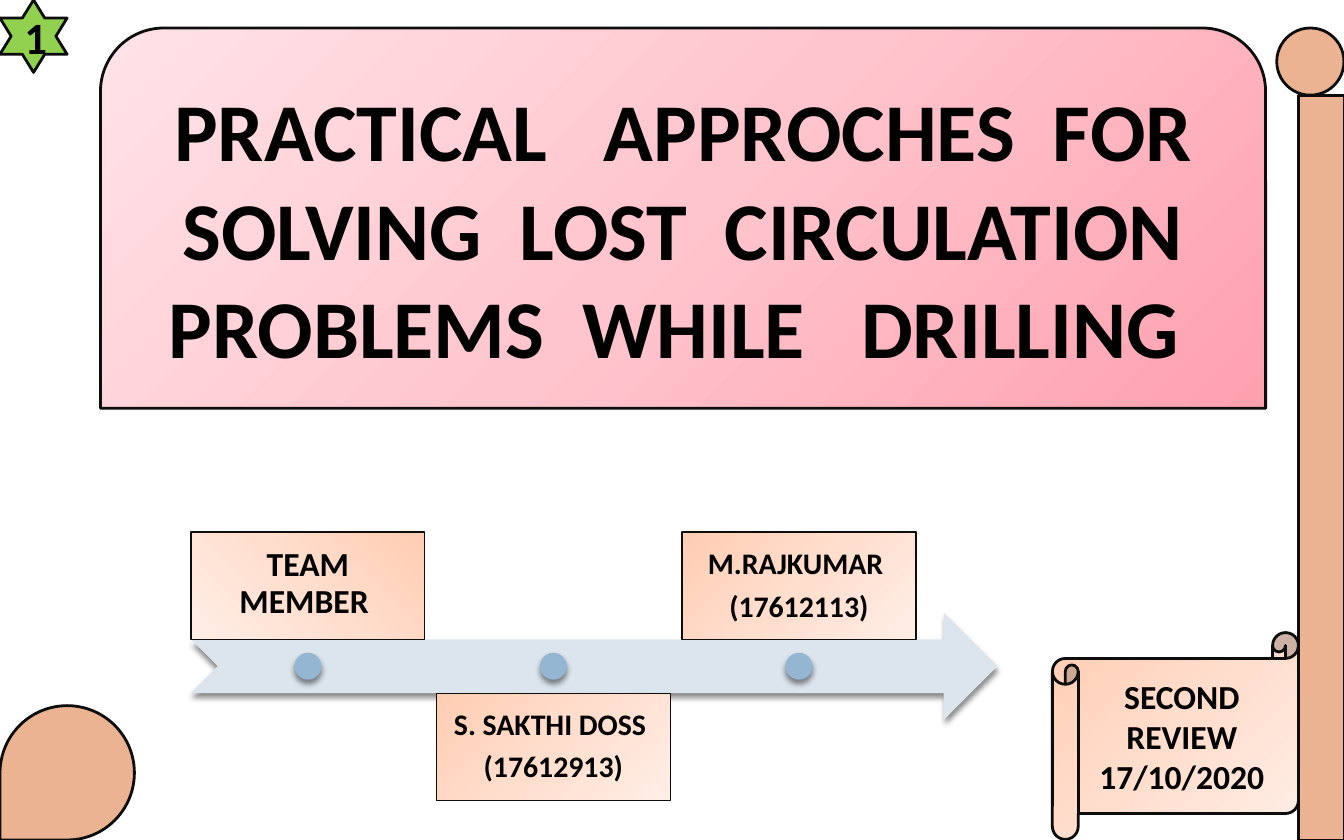
from dataclasses import dataclass

from lxml import etree
from pptx import Presentation
from pptx.dml.color import RGBColor
from pptx.enum.shapes import MSO_SHAPE
from pptx.enum.text import MSO_ANCHOR, MSO_AUTO_SIZE, PP_ALIGN
from pptx.oxml.ns import qn
from pptx.util import Cm, Pt

STAR, TEAR = MSO_SHAPE.STAR_6_POINT, MSO_SHAPE.TEAR
BAR, KNOB = MSO_SHAPE.FLOWCHART_PROCESS, MSO_SHAPE.FLOWCHART_CONNECTOR
PANEL, ARROW = MSO_SHAPE.ROUND_2_SAME_RECTANGLE, MSO_SHAPE.NOTCHED_RIGHT_ARROW
RECT, OVAL, SCROLL = MSO_SHAPE.RECTANGLE, MSO_SHAPE.OVAL, MSO_SHAPE.HORIZONTAL_SCROLL
TOP, MIDDLE, BOTTOM = MSO_ANCHOR.TOP, MSO_ANCHOR.MIDDLE, MSO_ANCHOR.BOTTOM
CENTER = PP_ALIGN.CENTER
NO_FIT = MSO_AUTO_SIZE.NONE


@dataclass(frozen=True)
class Theme:
    font: str = "Calibri"
    ink: str = "000000"
    line: str = "0D0D0D"
    green: str = "92D050"
    tan: str = "EBB391"
    arrow: str = "DCE5EE"
    dot: str = "94B6D2"
    pink: tuple = ("FFA0AF", "FFC5CE", "FFE3E7")
    peach: tuple = ("FFCDB3", "FFDECE", "FFEEE6")
    title_pt: int = 44
    number_pt: int = 24
    label_pt: int = 18
    member_pt: int = 16


theme = Theme()

prs = Presentation()
prs.slide_width, prs.slide_height = Cm(25.4), Cm(15.88)
slide = prs.slides.add_slide(prs.slide_layouts[5])


def add_shape(kind, box, fill, line_pt=1.5, focus=None, shadow=False):
    sp = slide.shapes.add_shape(kind, *[Cm(v) for v in box])
    sp.shadow.inherit = False
    if isinstance(fill, str):
        sp.fill.solid()
        sp.fill.fore_color.rgb = RGBColor.from_string(fill)
    else:
        sp.fill.gradient()
        grad = sp._element.spPr.find(qn("a:gradFill"))
        for child in list(grad):
            grad.remove(child)
        stops = etree.SubElement(grad, qn("a:gsLst"))
        for i, color in enumerate(fill):
            stop = etree.SubElement(stops, qn("a:gs"), pos=str(i * 50000))
            etree.SubElement(stop, qn("a:srgbClr"), val=color)
        if focus:
            circle = etree.SubElement(grad, qn("a:path"), path="circle")
            edges = {k: str(v * 1000) for k, v in zip("ltrb", focus)}
            etree.SubElement(circle, qn("a:fillToRect"), **edges)
        else:
            etree.SubElement(grad, qn("a:lin"), ang="13500000", scaled="0")
    if line_pt:
        sp.line.color.rgb = RGBColor.from_string(theme.line)
        sp.line.width = Pt(line_pt)
    else:
        sp.line.fill.background()
    if shadow:
        effects = sp._element.spPr.find(qn("a:effectLst"))
        outer = etree.SubElement(effects, qn("a:outerShdw"), blurRad="38100",
                                 dist="30000", dir="5400000", rotWithShape="0")
        color = etree.SubElement(outer, qn("a:srgbClr"), val="000000")
        etree.SubElement(color, qn("a:alpha"), val="45000")
    return sp


def add_run(p, text, size):
    p.alignment = CENTER
    r = p.add_run()
    r.text = text
    r.font.name, r.font.size, r.font.bold = theme.font, Pt(size), True
    r.font.color.rgb = RGBColor.from_string(theme.ink)
    return r


star = add_shape(STAR, (0, 0, 1.27, 1.37), theme.green)
star.text_frame.vertical_anchor = MIDDLE
add_run(star.text_frame.paragraphs[0], "1", theme.number_pt)

tear = add_shape(TEAR, (0, 13.34, 2.54, 2.54), theme.tan)
tear.rotation = 180
add_shape(BAR, (24.54, 1.8, 0.86, 14.08), theme.tan)
add_shape(KNOB, (24.13, 0.53, 1.27, 1.27), theme.tan)

add_shape(PANEL, (1.9, 0.53, 22.02, 7.19), theme.pink)
title = slide.shapes.title
title.left, title.top, title.width, title.height = Cm(2.25), Cm(0.88), Cm(21.32), Cm(6.84)
slide.shapes._spTree.append(title._element)
tf = title.text_frame
tf.word_wrap, tf.auto_size, tf.vertical_anchor = True, NO_FIT, MIDDLE
p = tf.paragraphs[0]
title_words = [("PRACTICAL", 20), ("APPROCHES", 10), ("FOR", 0),
               ("SOLVING", 10), ("LOST", 10), ("CIRCULATION", 20),
               ("PROBLEMS", 10), ("WHILE", 20), ("DRILLING", 0)]
for word, extra_gap in title_words:
    add_run(p, word, theme.title_pt)
    gap = add_run(p, " ", theme.title_pt)
    gap.font._element.set("spc", str(extra_gap * 100))

add_shape(ARROW, (3.61, 11.58, 15.24, 2.03), theme.arrow, 0, shadow=True)

top_left, top_right = (0, 0, 100, 100), (100, 0, 0, 100)
card_w, card_h, dot_d = 4.42, 2.03, 0.51
cards = [(["TEAM MEMBER "], theme.label_pt, 0.36, top_right),
         (["S. SAKTHI DOSS ", "(17612913)"], theme.member_pt, 0.3, top_left),
         (["M.RAJKUMAR ", "(17612113)"], theme.member_pt, 0.3, top_left)]
for i, (lines, size, inset, focus) in enumerate(cards):
    left = 3.61 + i * 4.64
    below = i % 2 == 1
    card = add_shape(RECT, (left, 13.11 if below else 10.06, card_w, card_h),
                     theme.peach, 0.75, focus)
    tf = card.text_frame
    tf.word_wrap = True
    tf.vertical_anchor = TOP if below else BOTTOM
    tf.margin_left = tf.margin_right = tf.margin_top = tf.margin_bottom = Cm(inset)
    for n, line in enumerate(lines):
        p = tf.add_paragraph() if n else tf.paragraphs[0]
        p.line_spacing, p.space_after = 0.9, Pt(size * 0.35)
        add_run(p, line, size)
    add_shape(OVAL, (left + (card_w - dot_d) / 2, 12.34, dot_d, dot_d),
              theme.dot, 0, shadow=True)

scroll = add_shape(SCROLL, (19.89, 11.96, 4.65, 3.91), theme.peach, focus=top_left)
tf = scroll.text_frame
tf.word_wrap, tf.vertical_anchor = True, MIDDLE
for n, line in enumerate(["SECOND REVIEW", "17/10/2020"]):
    p = tf.add_paragraph() if n else tf.paragraphs[0]
    add_run(p, line, theme.label_pt)

prs.save("out.pptx")
